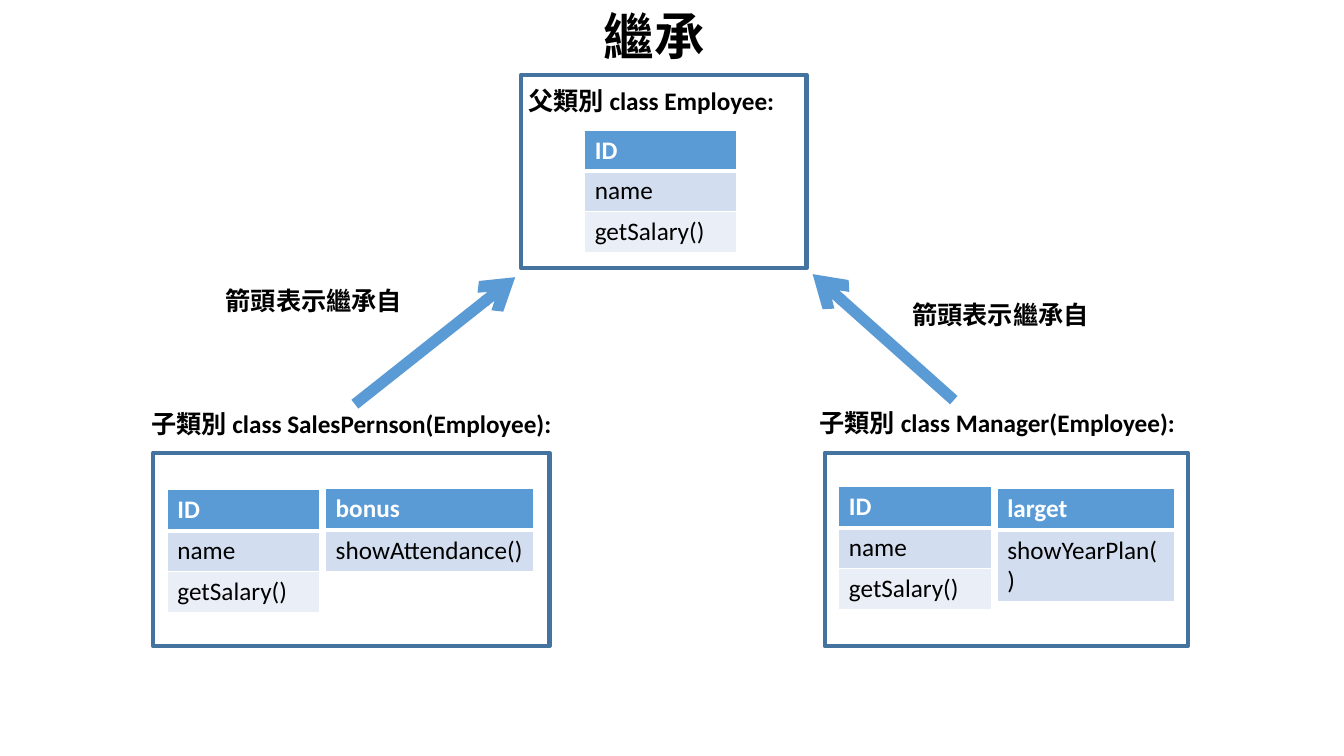
"""Build a slide on class inheritance: one parent class and two child classes."""
from lxml import etree
from pptx import Presentation
from pptx.dml.color import RGBColor
from pptx.enum.shapes import MSO_CONNECTOR, MSO_SHAPE
from pptx.oxml.ns import qn
from pptx.util import Inches, Pt

RECTANGLE = MSO_SHAPE.RECTANGLE
STRAIGHT = MSO_CONNECTOR.STRAIGHT

FONT = "Calibri"
BLACK, WHITE = "000000", "FFFFFF"
BLUE, FRAME_BLUE = "5B9BD5", "43739E"
BODY_FILLS = ["D2DEEF", "EAEFF7"]

EMPLOYEE_MEMBERS = ["ID", "name", "getSalary()"]
INHERITS = "箭頭表示繼承自"

# (members, left, top, width, row height)
MEMBER_LISTS = [
    (EMPLOYEE_MEMBERS, 5.8, 1.29, 1.51, 0.37),
    (EMPLOYEE_MEMBERS, 8.32, 4.83, 1.51, 0.37),
    (EMPLOYEE_MEMBERS, 1.66, 4.86, 1.51, 0.37),
    (["bonus", "showAttendance()"], 3.23, 4.85, 2.06, 0.41),
    (["larget", "showYearPlan()"], 9.89, 4.85, 1.76, 0.41),
]
CLASS_FRAMES = [(5.17, 0.74, 2.83), (8.18, 4.49, 3.6), (1.52, 4.49, 3.93)]
FRAME_HEIGHT = 1.92
LABELS = [
    ("繼承", 5.89, 0, 1.31, 0.71, 36),
    ("父類別 class Employee:", 5.14, 0.8, 2.82, 0.4, 18),
    ("子類別 class SalesPernson(Employee):", 1.4, 4, 4.25, 0.4, 18),
    ("子類別 class Manager(Employee):", 8.03, 3.99, 4.25, 0.4, 18),
    (INHERITS, 2.14, 2.78, 2, 0.4, 18),
    (INHERITS, 8.95, 2.92, 2, 0.4, 18),
]
INHERITANCE_ARROWS = [(3.52, 4.01, 5.11, 2.75), (9.46, 3.97, 8.06, 2.72)]


def color(value):
    return RGBColor.from_string(value)


def style(paragraph, size, ink, bold):
    font = paragraph.font
    font.name, font.size, font.bold = FONT, Pt(size), bold
    font.color.rgb = color(ink)


def add_borders(cell, widths):
    properties = cell._tc.get_or_add_tcPr()
    for position, (side, width) in enumerate(widths.items()):
        border = etree.Element(qn(f"a:ln{side}"), w=str(Pt(width)))
        fill = etree.SubElement(border, qn("a:solidFill"))
        etree.SubElement(fill, qn("a:srgbClr"), val=WHITE)
        properties.insert(position, border)


def add_members(slide, members, left, top, width, row_height):
    table = slide.shapes.add_table(
        len(members), 1, Inches(left), Inches(top),
        Inches(width), Inches(row_height * len(members))).table
    for index, member in enumerate(members):
        header = index == 0
        cell = table.cell(index, 0)
        cell.text = member
        style(cell.text_frame.paragraphs[0], 18, WHITE if header else BLACK, header)
        cell.fill.solid()
        cell.fill.fore_color.rgb = color(BLUE if header else BODY_FILLS[index - 1])
        add_borders(cell, {"L": 1, "R": 1, "T": 3 if index == 1 else 1,
                           "B": 3 if header else 1})


def add_frame(slide, left, top, width):
    frame = slide.shapes.add_shape(
        RECTANGLE, Inches(left), Inches(top), Inches(width), Inches(FRAME_HEIGHT))
    frame.shadow.inherit = False
    frame.fill.background()
    frame.line.color.rgb = color(FRAME_BLUE)
    frame.line.width = Pt(3)


def add_label(slide, wording, left, top, width, height, size):
    label = slide.shapes.add_textbox(
        Inches(left), Inches(top), Inches(width), Inches(height)).text_frame
    label.word_wrap = True
    label.text = wording
    style(label.paragraphs[0], size, BLACK, True)


def add_arrow(slide, *ends):
    arrow = slide.shapes.add_connector(STRAIGHT, *map(Inches, ends))
    arrow.line.color.rgb = color(BLUE)
    arrow.line.width = Pt(8)
    etree.SubElement(arrow.line._get_or_add_ln(), qn("a:tailEnd"), type="arrow")
    etree.SubElement(arrow._element.spPr, qn("a:effectLst"))


def main():
    presentation = Presentation()
    presentation.slide_width = Inches(13.33)
    presentation.slide_height = Inches(7.5)
    slide = presentation.slides.add_slide(presentation.slide_layouts[6])
    for add, parts in [(add_members, MEMBER_LISTS), (add_frame, CLASS_FRAMES),
                       (add_label, LABELS), (add_arrow, INHERITANCE_ARROWS)]:
        for part in parts:
            add(slide, *part)
    presentation.save("out.pptx")


if __name__ == "__main__":
    main()
